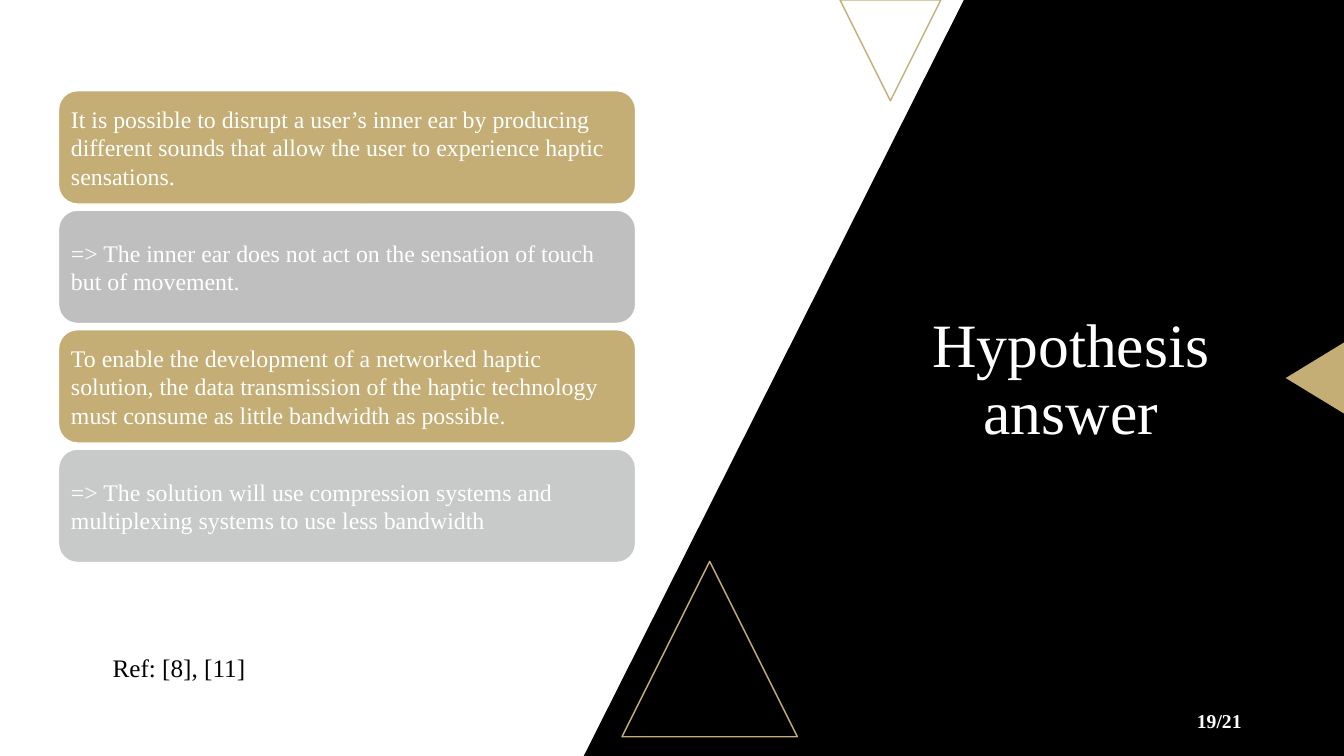
from pptx import Presentation
from pptx.dml.color import RGBColor
from pptx.enum import shapes as kinds, text as txt
from pptx.util import Pt

GOLD = RGBColor(0xC4, 0xAE, 0x75)
GREY = RGBColor(0xBF, 0xBF, 0xBF)
SILVER = RGBColor(0xC8, 0xCA, 0xCA)
BLACK = RGBColor(0, 0, 0)
WHITE = RGBColor(0xFF, 0xFF, 0xFF)
FONT = "Times New Roman"
SHAPE = kinds.MSO_SHAPE
ALIGN = txt.PP_ALIGN
MID = txt.MSO_ANCHOR.MIDDLE

CARDS = [
    ("It is possible to disrupt a user’s inner ear by producing different "
     "sounds that allow the user to experience haptic sensations.", GOLD),
    ("=> The inner ear does not act on the sensation of touch but of movement.", GREY),
    ("To enable the development of a networked haptic solution, the data transmission "
     "of the haptic technology must consume as little bandwidth as possible.", GOLD),
    ("=> The solution will use compression systems and multiplexing systems "
     "to use less bandwidth", SILVER),
]


def paint(shape, fill=None, line=None):
    shape.shadow.inherit = False
    if fill is None:
        shape.fill.background()
    else:
        shape.fill.solid()
        shape.fill.fore_color.rgb = fill
    if line is None:
        shape.line.fill.background()
    else:
        shape.line.color.rgb = line
        shape.line.width = Pt(1)


def write(shape, words, size, color, align=ALIGN.LEFT, bold=False):
    frame = shape.text_frame
    frame.word_wrap = True
    frame.vertical_anchor = MID
    frame.text = words
    para = frame.paragraphs[0]
    para.alignment = align
    para.font.name = FONT
    para.font.size = Pt(size)
    para.font.bold = bold
    para.font.color.rgb = color
    return para


def add_tri(slide, x, y, w, h, turn=0, fill=None, line=None):
    tri = slide.shapes.add_shape(SHAPE.ISOSCELES_TRIANGLE, Pt(x), Pt(y), Pt(w), Pt(h))
    tri.rotation = turn
    paint(tri, fill, line)


def add_panel(slide, x, y, w, h):
    pen = slide.shapes.build_freeform(Pt(x), Pt(y + h))
    pen.add_line_segments([(Pt(x + w / 2), Pt(y)), (Pt(x + w), Pt(y)),
                           (Pt(x + w), Pt(y + h))])
    paint(pen.convert_to_shape(), BLACK)
    add_tri(slide, x + 183, y, 72, 72, 180, line=GOLD)
    add_tri(slide, x + 27.3, y + 401, 125.3, 125.3, line=GOLD)
    add_tri(slide, x + w - 46.2, y + 249.1, 51, 41.8, 270, fill=GOLD)


def add_title(slide, x, y, w, h):
    title = slide.shapes.title
    title.element.getparent().append(title.element)
    title.left, title.top, title.width, title.height = Pt(x), Pt(y), Pt(w), Pt(h)
    para = write(title, "Hypothesis answer", 44, WHITE, ALIGN.CENTER)
    para.line_spacing = 0.9


def add_cards(slide, x, y, w, h, gap):
    tall = (h - gap * (len(CARDS) - 1)) / len(CARDS)
    for row, (words, fill) in enumerate(CARDS):
        top = y + row * (tall + gap)
        card = slide.shapes.add_shape(SHAPE.ROUNDED_RECTANGLE, Pt(x), Pt(top), Pt(w), Pt(tall))
        paint(card, fill, WHITE)
        write(card, words, 17, WHITE)
        frame = card.text_frame
        frame.margin_left = frame.margin_right = Pt(5)
        frame.margin_top = frame.margin_bottom = Pt(5)


def add_note(slide, x, y, w, h, words, size, color, align=ALIGN.LEFT, bold=False):
    box = slide.shapes.add_textbox(Pt(x), Pt(y), Pt(w), Pt(h))
    write(box, words, size, color, align, bold)


def main():
    deck = Presentation()
    deck.slide_width, deck.slide_height = Pt(960), Pt(540)
    slide = deck.slides.add_slide(deck.slide_layouts[5])
    add_panel(slide, 417, 0, 543, 540)
    add_title(slide, 612, 154, 306, 236)
    add_cards(slide, 41.8, 64.8, 412.2, 337, 4.4)
    add_note(slide, 678, 500.6, 216, 28.8, "19/21", 14, WHITE, ALIGN.RIGHT, True)
    add_note(slide, 73.4, 462.4, 242.6, 29, "Ref: [8], [11]", 18, BLACK)
    deck.save("out.pptx")


if __name__ == "__main__":
    main()
